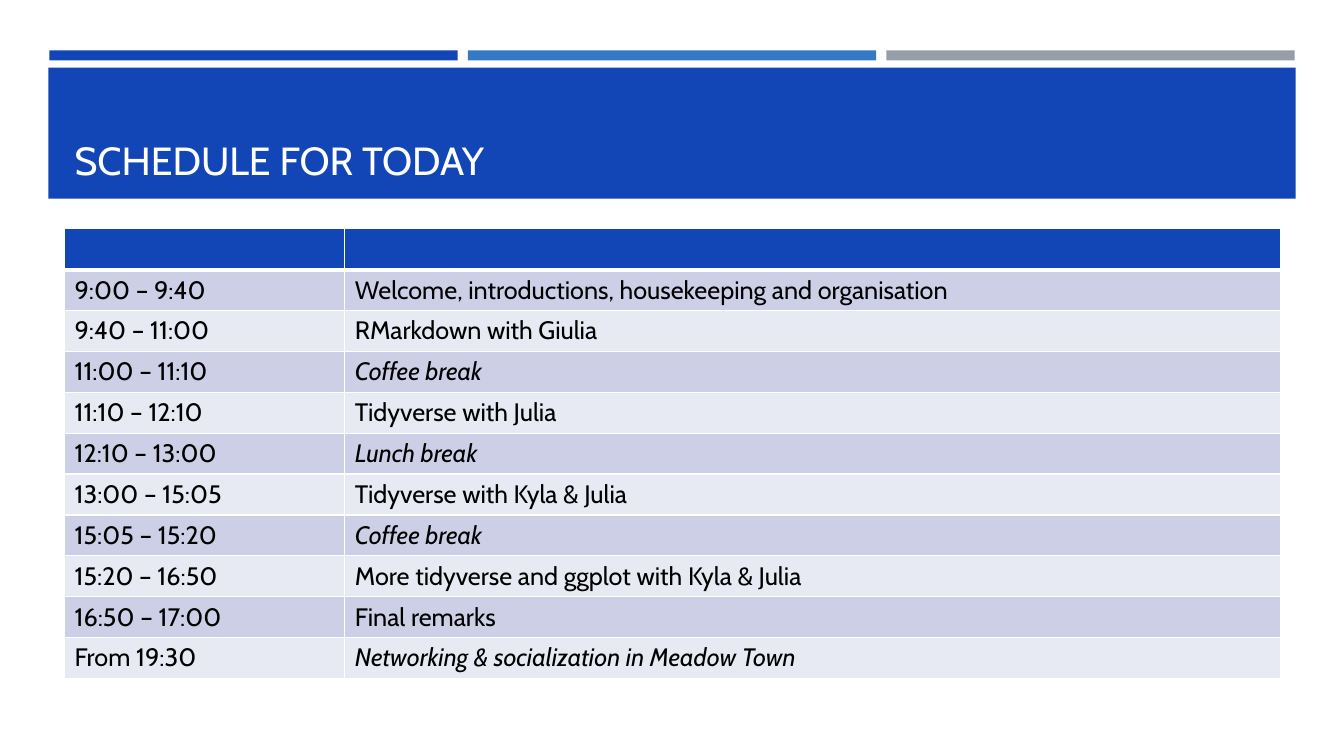
"""Build a slide with the day's schedule as a banded table."""
from lxml import etree
from pptx import Presentation
from pptx import util as u
from pptx.dml.color import RGBColor
from pptx.enum import shapes, text
from pptx.oxml.ns import qn

BLUE, WHITE = "1246B6", "FFFFFF"
BANDS = ["CCCFE5", "E7E9F3"]
SCHEDULE = [
    ("9:00 – 9:40", "Welcome, introductions, housekeeping and organisation", False),
    ("9:40 – 11:00", "RMarkdown with Giulia", False),
    ("11:00 – 11:10", "Coffee break", True),
    ("11:10 – 12:10", "Tidyverse with Julia", False),
    ("12:10 – 13:00", "Lunch break", True),
    ("13:00 – 15:05", "Tidyverse with Kyla & Julia", False),
    ("15:05 – 15:20", "Coffee break", True),
    ("15:20 – 16:50", "More tidyverse and ggplot with Kyla & Julia", False),
    ("16:50 – 17:00", "Final remarks", False),
    ("From 19:30", "Networking & socialization in Meadow Town", True),
]


def paint(fill, color):
    fill.solid()
    fill.fore_color.rgb = RGBColor.from_string(color)


def style(p, size, color, italic=False):
    for r in p.runs:
        r.font.name = "Cabin"
        r.font.size = u.Pt(size)
        r.font.italic = italic
        r.font.color.rgb = RGBColor.from_string(color)


prs = Presentation()
prs.slide_width, prs.slide_height = u.Inches(13.33), u.Inches(7.5)
s = prs.slides.add_slide(prs.slide_layouts[5])

bars = [(0.49 + 4.15 * i, 0.5, 4.05, 0.1, color)
        for i, color in enumerate([BLUE, "3479C6", "969FA7"])]
for *box, color in bars + [(0.48, 0.67, 12.37, 1.3, BLUE)]:
    sp = s.shapes.add_shape(shapes.MSO_SHAPE.RECTANGLE, *map(u.Inches, box))
    sp.shadow.inherit = False
    paint(sp.fill, color)
    sp.line.fill.background()

title = s.shapes.title
title.left, title.top, title.width, title.height = map(u.Inches, (0.64, 0.77, 12.06, 1.11))
s.shapes._spTree.append(title._element)
tf = title.text_frame
tf.text = "SCHEDULE FOR TODAY"
tf.word_wrap = True
tf.auto_size = text.MSO_AUTO_SIZE.NONE
tf.vertical_anchor = text.MSO_ANCHOR.BOTTOM
p = tf.paragraphs[0]
p.alignment = text.PP_ALIGN.LEFT
p.line_spacing = 0.9
style(p, 28, WHITE)

rows = [("", "", False)] + SCHEDULE
table = s.shapes.add_table(len(rows), 2, *map(u.Inches, (0.64, 2.27, 12.06, 4.46))).table
for col, width in zip(table.columns, (2.78, 9.28)):
    col.width = u.Inches(width)

for i, (time, event, italic) in enumerate(rows):
    for j, words in enumerate((time, event)):
        cell = table.cell(i, j)
        tcPr = cell._tc.get_or_add_tcPr()
        widths = {"L": 1, "R": 1, "T": 3 if i == 1 else 1, "B": 3 if i == 0 else 1}
        for side, width in widths.items():
            ln = etree.SubElement(tcPr, qn("a:ln" + side), w=str(u.Pt(width)))
            fill = etree.SubElement(ln, qn("a:solidFill"))
            etree.SubElement(fill, qn("a:srgbClr"), val=WHITE)
        paint(cell.fill, BANDS[(i - 1) % 2] if i else BLUE)
        p = cell.text_frame.paragraphs[0]
        if words:
            p.text = words
        style(p, 18, "000000", italic and j == 1)

prs.save("out.pptx")
